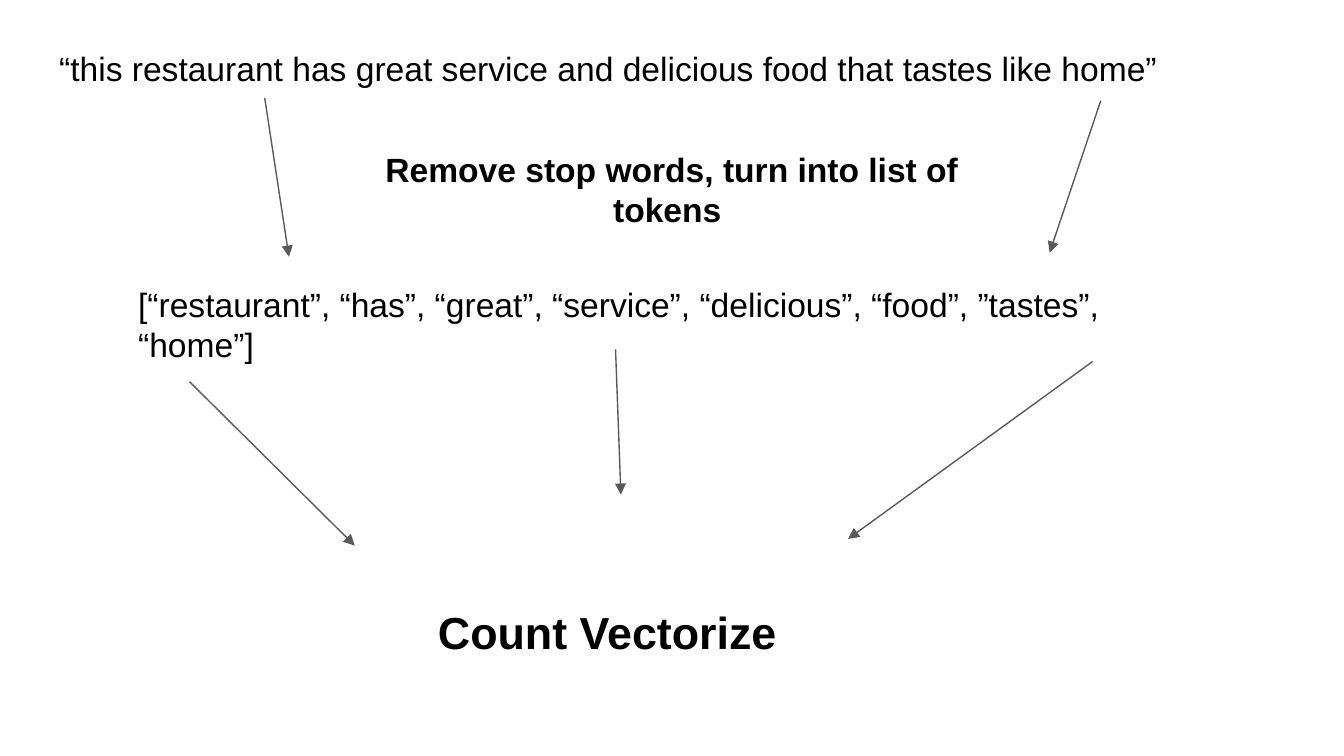
from lxml.etree import SubElement
from pptx import Presentation
from pptx.dml.color import RGBColor
from pptx.enum.shapes import MSO_CONNECTOR
from pptx.enum.text import MSO_ANCHOR, MSO_AUTO_SIZE, PP_ALIGN
from pptx.oxml.ns import qn
from pptx.util import Inches, Pt

BLACK = RGBColor(0x00, 0x00, 0x00)
GRAY = RGBColor(0x59, 0x59, 0x59)
FONT = "Arial"

SENTENCE = "“this restaurant has great service and delicious food that tastes like home”"
STEP = "Remove stop words, turn into list of tokens "
TOKENS = "[“restaurant”, “has”, “great”, “service”, “delicious”, “food”, ”tastes”, “home”]"
RESULT = "Count Vectorize"

SENTENCE_ARROWS = [
    ((1.97, 0.73), (2.15, 1.91)),
    ((8.19, 0.75), (7.81, 1.88)),
]
TOKEN_ARROWS = [
    ((1.41, 2.84), (2.64, 4.06)),
    ((8.13, 2.69), (6.31, 4.01)),
    ((4.58, 2.6), (4.62, 3.68)),
]


def write_text(box, text, size=18, bold=False, align=PP_ALIGN.LEFT, anchor=MSO_ANCHOR.TOP):
    frame = box.text_frame
    frame.word_wrap = True
    frame.auto_size = MSO_AUTO_SIZE.NONE
    frame.vertical_anchor = anchor
    frame.margin_left = frame.margin_right = Inches(0.1)
    frame.margin_top = frame.margin_bottom = Inches(0.1)
    paragraph = frame.paragraphs[0]
    paragraph.text = text
    paragraph.alignment = align
    paragraph.space_before = Pt(0)
    font = paragraph.font
    font.name = FONT
    font.size = Pt(size)
    font.bold = bold
    font.color.rgb = BLACK
    return paragraph


def fill_body(page, left, top, width, height, text):
    """Place the body placeholder and show its text without a bullet."""
    body = page.placeholders[1]
    body.left, body.top = Inches(left), Inches(top)
    body.width, body.height = Inches(width), Inches(height)
    properties = write_text(body, text)._p.get_or_add_pPr()
    properties.set("marL", "0")
    properties.set("indent", "0")
    properties.insert_element_before(
        SubElement(properties, qn("a:buNone")), "a:tabLst", "a:defRPr", "a:extLst"
    )


def add_text(page, left, top, width, height, text, **style):
    box = page.shapes.add_textbox(Inches(left), Inches(top), Inches(width), Inches(height))
    write_text(box, text, **style)


def add_arrow(page, start, end):
    points = [Inches(value) for value in (*start, *end)]
    arrow = page.shapes.add_connector(MSO_CONNECTOR.STRAIGHT, *points)
    arrow.line.color.rgb = GRAY
    arrow.line.width = Pt(0.75)
    properties = arrow._element.spPr
    head = SubElement(properties.find(qn("a:ln")), qn("a:tailEnd"))
    head.set("type", "triangle")
    SubElement(properties, qn("a:effectLst"))


def main():
    deck = Presentation()
    deck.slide_width = Inches(10)
    deck.slide_height = deck.slide_width * 9 // 16
    page = deck.slides.add_slide(deck.slide_layouts[1])
    title = page.shapes.title._element
    title.getparent().remove(title)

    fill_body(page, 0.34, 0.26, 9.32, 4.72, SENTENCE)
    for start, end in SENTENCE_ARROWS:
        add_arrow(page, start, end)
    add_text(page, 2.48, 0.94, 5.04, 0.93, STEP, bold=True,
             align=PP_ALIGN.CENTER, anchor=MSO_ANCHOR.MIDDLE)
    add_text(page, 0.93, 2.01, 8.14, 0.8, TOKENS)
    for start, end in TOKEN_ARROWS:
        add_arrow(page, start, end)
    add_text(page, 3.16, 4.4, 3.68, 0.64, RESULT, size=24, bold=True)

    deck.save("out.pptx")


if __name__ == "__main__":
    main()
